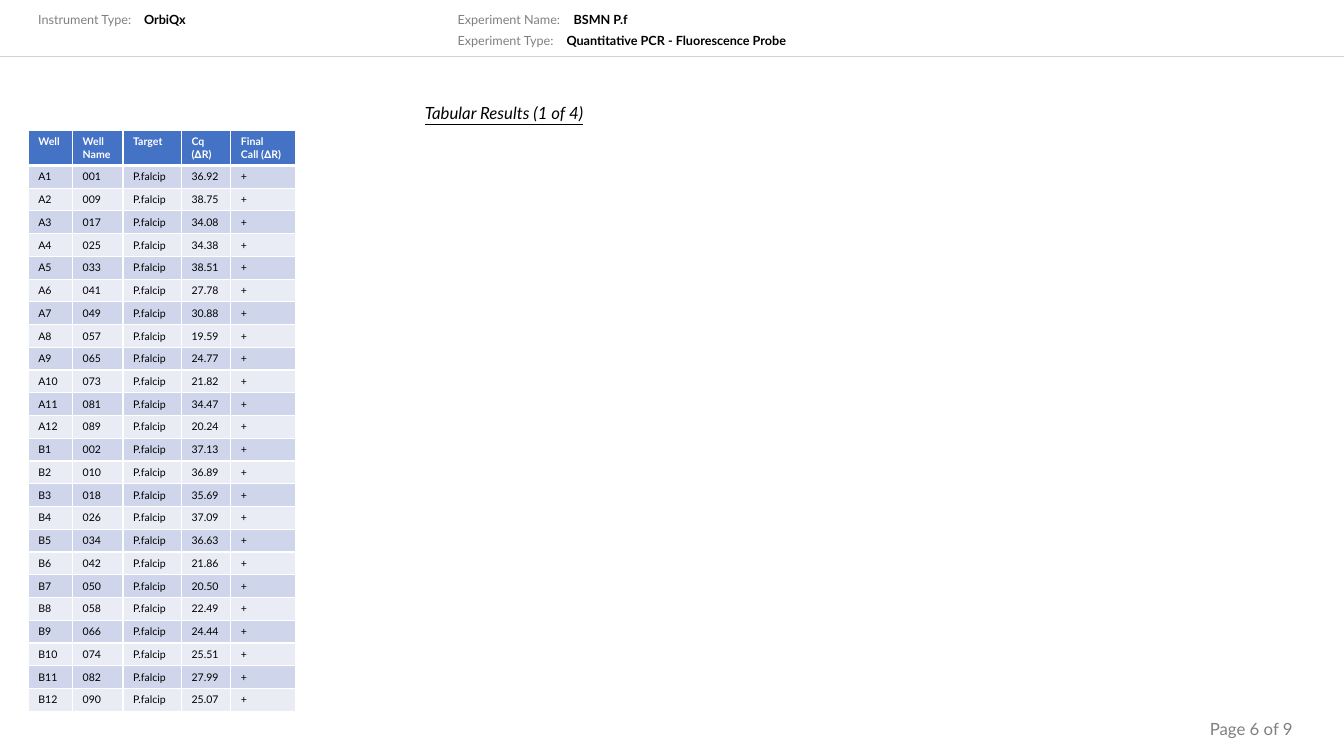
from dataclasses import dataclass

from lxml.etree import SubElement
from pptx import Presentation
from pptx.dml.color import RGBColor
from pptx.enum.shapes import MSO_CONNECTOR as Connector
from pptx.enum.text import MSO_ANCHOR as Anchor, MSO_AUTO_SIZE as AutoSize, PP_ALIGN as Align
from pptx.oxml.ns import qn
from pptx.util import Inches, Pt


@dataclass(frozen=True)
class Theme:
    """Colours, font and type sizes of the report."""

    font: str = "Lato"
    black: str = "000000"
    grey: str = "808080"
    white: str = "FFFFFF"
    rule: str = "CBD6DC"
    header: str = "4472C4"
    bands: tuple = ("CFD5EA", "E9EBF5")
    table_size: float = 7.5
    label_size: float = 9
    title_size: float = 12


SLIDE_WIDTH, SLIDE_HEIGHT = 13.33, 7.5
LEFT, CONTENT_WIDTH = 0.28, 9.44
COLUMN_WIDTHS = (0.44, 0.5, 0.58, 0.49, 0.64)
ROW_HEIGHT = 0.2
PLATE_ROWS = 8
HEADINGS = ("Well", "Well\nName", "Target", "Cq\n(∆R)", "Final\nCall (∆R)")
CQ_VALUES = {
    "A": (36.92, 38.75, 34.08, 34.38, 38.51, 27.78, 30.88, 19.59, 24.77, 21.82, 34.47, 20.24),
    "B": (37.13, 36.89, 35.69, 37.09, 36.63, 21.86, 20.50, 22.49, 24.44, 25.51, 27.99, 25.07),
}
FIELDS = (
    (LEFT, 1.3, 0.07, "Instrument Type:", " OrbiQx"),
    (4.44, 5.56, 0.07, "Experiment Name:", " BSMN P.f"),
    (4.44, 5.49, 0.28, "Experiment Type:", " Quantitative PCR - Fluorescence Probe"),
)


def write_text(frame, text, *, font, size, color, bold=False, italic=False,
               underline=False, align=Align.LEFT):
    """Write each line of text as a formatted paragraph."""
    for index, line in enumerate(text.split("\n")):
        para = frame.add_paragraph() if index else frame.paragraphs[0]
        para.alignment = align
        span = para.add_run()
        span.text = line
        span.font.name = font
        span.font.size = Pt(size)
        span.font.color.rgb = RGBColor.from_string(color)
        span.font.bold = bold
        span.font.italic = italic
        span.font.underline = underline


def result_rows():
    """Return the table rows, numbering samples down the plate columns."""
    return [
        (f"{letter}{column + 1}", f"{PLATE_ROWS * column + offset:03d}", "P.falcip", f"{cq:.2f}", "+")
        for offset, (letter, values) in enumerate(CQ_VALUES.items(), start=1)
        for column, cq in enumerate(values)
    ]


class ReportPage:
    """Draws report elements on one slide in one theme."""

    def __init__(self, page, theme):
        """Keep the slide and its theme."""
        self.page = page
        self.theme = theme

    def fill_box(self, box, left, top, width, height, text, **style):
        """Place a text shape and write its text."""
        box.left, box.top = Inches(left), Inches(top)
        box.width, box.height = Inches(width), Inches(height)
        frame = box.text_frame
        frame.word_wrap = True
        frame.vertical_anchor = Anchor.TOP
        frame.auto_size = AutoSize.SHAPE_TO_FIT_TEXT
        write_text(frame, text, font=self.theme.font, **style)

    def title(self, *place, text):
        """Format the title placeholder."""
        self.fill_box(self.page.shapes.title, *place, text, size=self.theme.title_size,
                      color=self.theme.black, italic=True, underline=True, align=Align.CENTER)

    def text(self, *place, text, **style):
        """Add a text box."""
        self.fill_box(self.page.shapes.add_textbox(0, 0, 0, 0), *place, text, **style)

    def field(self, label_left, value_left, top, label, value):
        """Add a grey label and its bold value."""
        size = self.theme.label_size
        self.text(label_left, top, SLIDE_WIDTH, 0.25, text=label, size=size, color=self.theme.grey)
        self.text(value_left, top, SLIDE_WIDTH, 0.25, text=value, size=size,
                  color=self.theme.black, bold=True)

    def rule(self, top):
        """Add a thin line across the slide."""
        line = self.page.shapes.add_connector(
            Connector.STRAIGHT, 0, Inches(top), Inches(SLIDE_WIDTH), Inches(top))
        line.line.color.rgb = RGBColor.from_string(self.theme.rule)
        line.line.width = Pt(0.5)
        SubElement(line._element.spPr, qn("a:effectLst"))

    def borders(self, cell, top=1, bottom=1):
        """Give a cell white borders with widths in points."""
        properties = cell._tc.get_or_add_tcPr()
        for side, width in (("L", 1), ("R", 1), ("T", top), ("B", bottom)):
            edge = SubElement(properties, qn(f"a:ln{side}"), w=str(Pt(width)))
            SubElement(SubElement(edge, qn("a:solidFill")), qn("a:srgbClr"), val=self.theme.white)

    def table(self, left, top, headings, rows):
        """Add a banded table with a coloured header row."""
        theme = self.theme
        lines = [headings, *rows]
        table = self.page.shapes.add_table(
            len(lines), len(headings), Inches(left), Inches(top),
            Inches(sum(COLUMN_WIDTHS)), Inches(ROW_HEIGHT * len(lines))).table
        for column, width in zip(table.columns, COLUMN_WIDTHS):
            column.width = Inches(width)
        for index, line in enumerate(lines):
            is_header = index == 0
            table.rows[index].height = Inches(ROW_HEIGHT)
            fill = theme.header if is_header else theme.bands[(index - 1) % 2]
            for column, text in enumerate(line):
                cell = table.cell(index, column)
                self.borders(cell, top=3 if index == 1 else 1, bottom=3 if is_header else 1)
                cell.fill.solid()
                cell.fill.fore_color.rgb = RGBColor.from_string(fill)
                write_text(cell.text_frame, text, font=theme.font, size=theme.table_size,
                           color=theme.white if is_header else theme.black, bold=is_header)


def main():
    """Build and save the results slide."""
    deck = Presentation()
    deck.slide_width, deck.slide_height = Inches(SLIDE_WIDTH), Inches(SLIDE_HEIGHT)
    page = deck.slides.add_slide(deck.slide_layouts.get_by_name("Title Only"))
    theme = Theme()
    report = ReportPage(page, theme)
    for field in FIELDS:
        report.field(*field)
    report.rule(0.56)
    report.text(11.25, 7.08, 1.67, 0.3, text="Page 6 of 9", size=theme.title_size,
                color=theme.grey, align=Align.RIGHT)
    report.title(LEFT, 0.97, CONTENT_WIDTH, 0.3, text="Tabular Results (1 of 4)")
    report.table(LEFT, 1.29, HEADINGS, result_rows())
    deck.save("out.pptx")


if __name__ == "__main__":
    main()
